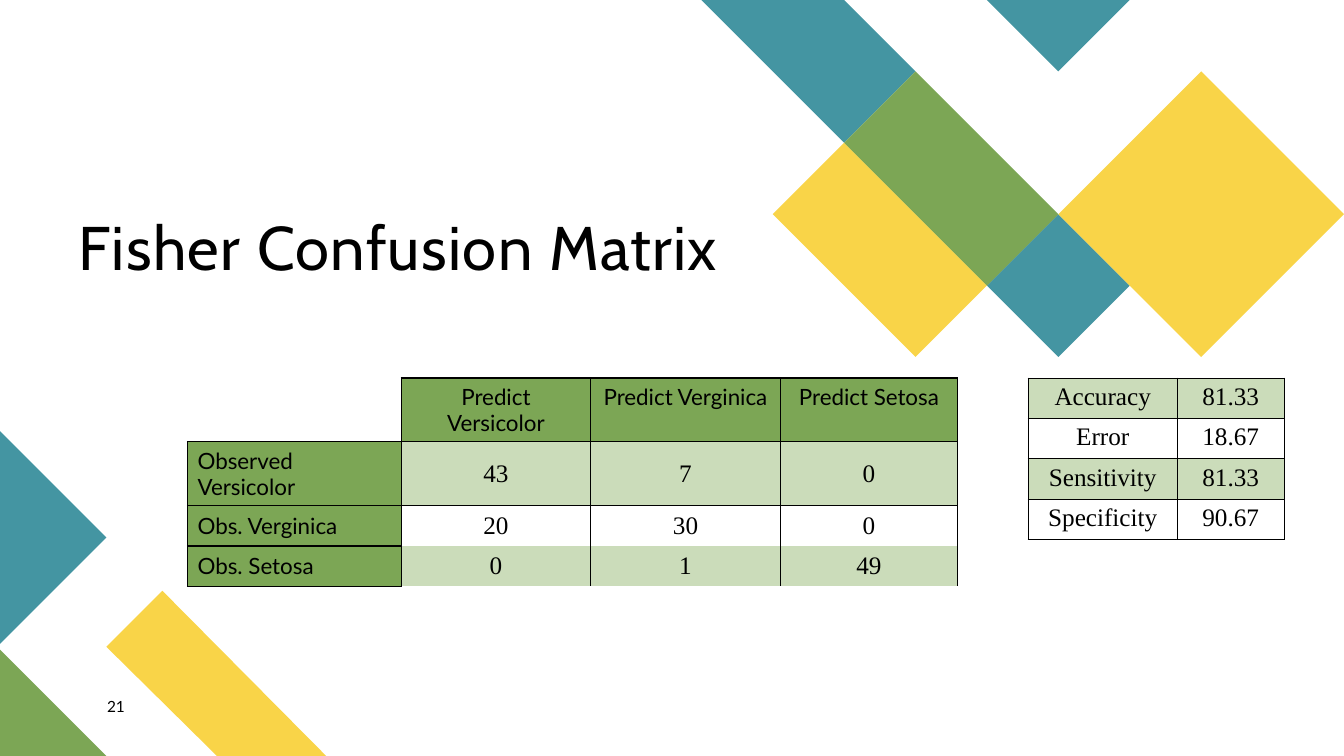
from dataclasses import dataclass

from lxml.etree import SubElement
from pptx import Presentation
from pptx.dml.color import RGBColor
from pptx.enum.text import MSO_ANCHOR, MSO_AUTO_SIZE, PP_ALIGN
from pptx.oxml.ns import qn
from pptx.slide import Slide
from pptx.table import _Cell
from pptx.text.text import TextFrame
from pptx.util import Pt

COLOURS = {
    "black": "000000",
    "white": "FFFFFF",
    "teal": "4495A2",
    "yellow": "F9D448",
    "green": "7CA655",
    "pale green": "CBDCBA",
}
NO_STYLE = "{2D5ABB26-0587-4C30-8999-92F81FD0307C}"
STEP = 51  # half diagonal of the small diamonds
CENTRE = 756  # horizontal origin of the diamond pattern

Point = tuple[float, float]


@dataclass
class Polygon:
    colour: str
    points: list[Point]


@dataclass
class TextStyle:
    font: str
    size: float


@dataclass
class CellLook:
    style: TextStyle
    fill: str | None
    borders: str = "LRTB"
    align: PP_ALIGN = PP_ALIGN.CENTER
    anchor: MSO_ANCHOR = MSO_ANCHOR.TOP


@dataclass
class Grid:
    left: float
    top: float
    columns: list[float]
    row_height: float
    border: float
    rows: list[list[str]]
    looks: list[list[CellLook]]


TITLE = TextStyle("Cabin", 44)
NUMBER = TextStyle("Lato", 11)
LABEL = TextStyle("Lato", 16)
VALUE = TextStyle("Times New Roman", 18)


def on_grid(*steps: Point) -> list[Point]:
    """Turn diamond pattern steps into slide points."""
    return [(CENTRE + STEP * across, STEP * down) for across, down in steps]


POLYGONS = [
    Polygon("yellow", [(233, 540), (155, 540), (76.5, 461.5), (116, 422.5)]),
    Polygon("green", [(0, 463.5), (76.5, 540), (0, 540)]),
    Polygon("teal", [(0, 307.5), (76.5, 384), (0, 460.5)]),
    Polygon("teal", on_grid((-2, 1), (-3, 0), (-5, 0), (-3, 2))),
    Polygon("teal", on_grid((1, 4), (0, 3), (-1, 4), (0, 5))),
    Polygon("yellow", on_grid((-3, 2), (-4, 3), (-2, 5), (-1, 4))),
    Polygon("teal", on_grid((1, 0), (-1, 0), (0, 1))),
    Polygon("green", on_grid((-2, 1), (-3, 2), (-1, 4), (0, 3))),
    Polygon("yellow", on_grid((4, 3), (2, 1), (0, 3), (2, 5))),
]


def matrix_looks() -> list[list[CellLook]]:
    """Green header row and label column around banded values."""
    middle = MSO_ANCHOR.MIDDLE
    corner = CellLook(LABEL, "white", "RB")
    header = CellLook(LABEL, "green")
    label = CellLook(LABEL, "green", align=PP_ALIGN.LEFT, anchor=middle)
    looks = [[corner] + [header] * 3]
    for fill, borders in (("pale green", "LRT"), (None, "LR"), ("pale green", "LR")):
        looks.append([label] + [CellLook(VALUE, fill, borders, anchor=middle)] * 3)
    return looks


CONFUSION = Grid(
    134, 270, [152.6, 135.4, 135.4, 126.7], 26.6, 1,
    [
        ["", "Predict Versicolor", "Predict Verginica", "Predict Setosa"],
        ["Observed Versicolor", "43", "7", "0"],
        ["Obs. Verginica", "20", "30", "0"],
        ["Obs. Setosa", "0", "1", "49"],
    ],
    matrix_looks(),
)
SCORES = Grid(
    734.4, 270, [106.6, 76.3], 28.8, 0.75,
    [
        ["Accuracy", "81.33"],
        ["Error", "18.67"],
        ["Sensitivity", "81.33"],
        ["Specificity", "90.67"],
    ],
    [[CellLook(VALUE, fill)] * 2 for fill in ("pale green", "white") * 2],
)


def colour(name: str) -> RGBColor:
    return RGBColor.from_string(COLOURS[name])


def write(frame: TextFrame, text: str, style: TextStyle, align: PP_ALIGN) -> None:
    paragraph = frame.paragraphs[0]
    paragraph.alignment = align
    span = paragraph.add_run()
    span.text = text
    span.font.name = style.font
    span.font.size = Pt(style.size)
    span.font.color.rgb = colour("black")


def clear_margins(frame: TextFrame) -> None:
    frame.margin_left = frame.margin_right = 0
    frame.margin_top = frame.margin_bottom = 0
    frame.word_wrap = True


def draw_polygon(page: Slide, polygon: Polygon) -> None:
    start, *others = polygon.points
    builder = page.shapes.build_freeform(*start, scale=float(Pt(1)))
    builder.add_line_segments(others, close=True)
    shape = builder.convert_to_shape()
    shape.shadow.inherit = False
    shape.fill.solid()
    shape.fill.fore_color.rgb = colour(polygon.colour)
    shape.line.fill.background()


def draw_borders(cell: _Cell, sides: str, width: float) -> None:
    properties = cell._tc.get_or_add_tcPr()
    for side in sides:
        line = SubElement(properties, qn(f"a:ln{side}"), w=str(Pt(width)))
        fill = SubElement(line, qn("a:solidFill"))
        SubElement(fill, qn("a:srgbClr"), val=COLOURS["black"])


def draw_grid(page: Slide, grid: Grid) -> None:
    count = len(grid.rows)
    frame = page.shapes.add_table(
        count, len(grid.columns), Pt(grid.left), Pt(grid.top),
        Pt(sum(grid.columns)), Pt(grid.row_height * count),
    )
    table = frame.table
    table.first_row = table.horz_banding = False
    table._tbl.tblPr.find(qn("a:tableStyleId")).text = NO_STYLE
    for column, width in zip(table.columns, grid.columns):
        column.width = Pt(width)
    for row, texts, looks in zip(table.rows, grid.rows, grid.looks):
        row.height = Pt(grid.row_height)
        for cell, text, look in zip(row.cells, texts, looks):
            draw_borders(cell, look.borders, grid.border)
            cell.vertical_anchor = look.anchor
            if look.fill:
                cell.fill.solid()
                cell.fill.fore_color.rgb = colour(look.fill)
            if text:
                write(cell.text_frame, text, look.style, look.align)


def draw_title(page: Slide) -> None:
    title = page.shapes.title
    title.left, title.top, title.width, title.height = map(Pt, (56.2, 154.8, 593.3, 48.2))
    frame = title.text_frame
    clear_margins(frame)
    frame.auto_size = MSO_AUTO_SIZE.NONE
    frame.vertical_anchor = MSO_ANCHOR.BOTTOM
    write(frame, "Fisher Confusion Matrix", TITLE, PP_ALIGN.LEFT)
    paragraph = frame.paragraphs[0]
    paragraph.line_spacing = 0.9
    paragraph.runs[0].font._element.set("spc", "100")
    title.element.getparent().append(title.element)


def draw_page_number(page: Slide) -> None:
    box = page.shapes.add_textbox(Pt(76.5), Pt(498.2), Pt(41), Pt(19.4))
    clear_margins(box.text_frame)
    write(box.text_frame, "21", NUMBER, PP_ALIGN.LEFT)


def main() -> None:
    deck = Presentation()
    deck.slide_width, deck.slide_height = Pt(960), Pt(540)
    page = deck.slides.add_slide(deck.slide_layouts[5])
    for polygon in POLYGONS:
        draw_polygon(page, polygon)
    draw_title(page)
    draw_page_number(page)
    for grid in (CONFUSION, SCORES):
        draw_grid(page, grid)
    deck.save("out.pptx")


if __name__ == "__main__":
    main()
